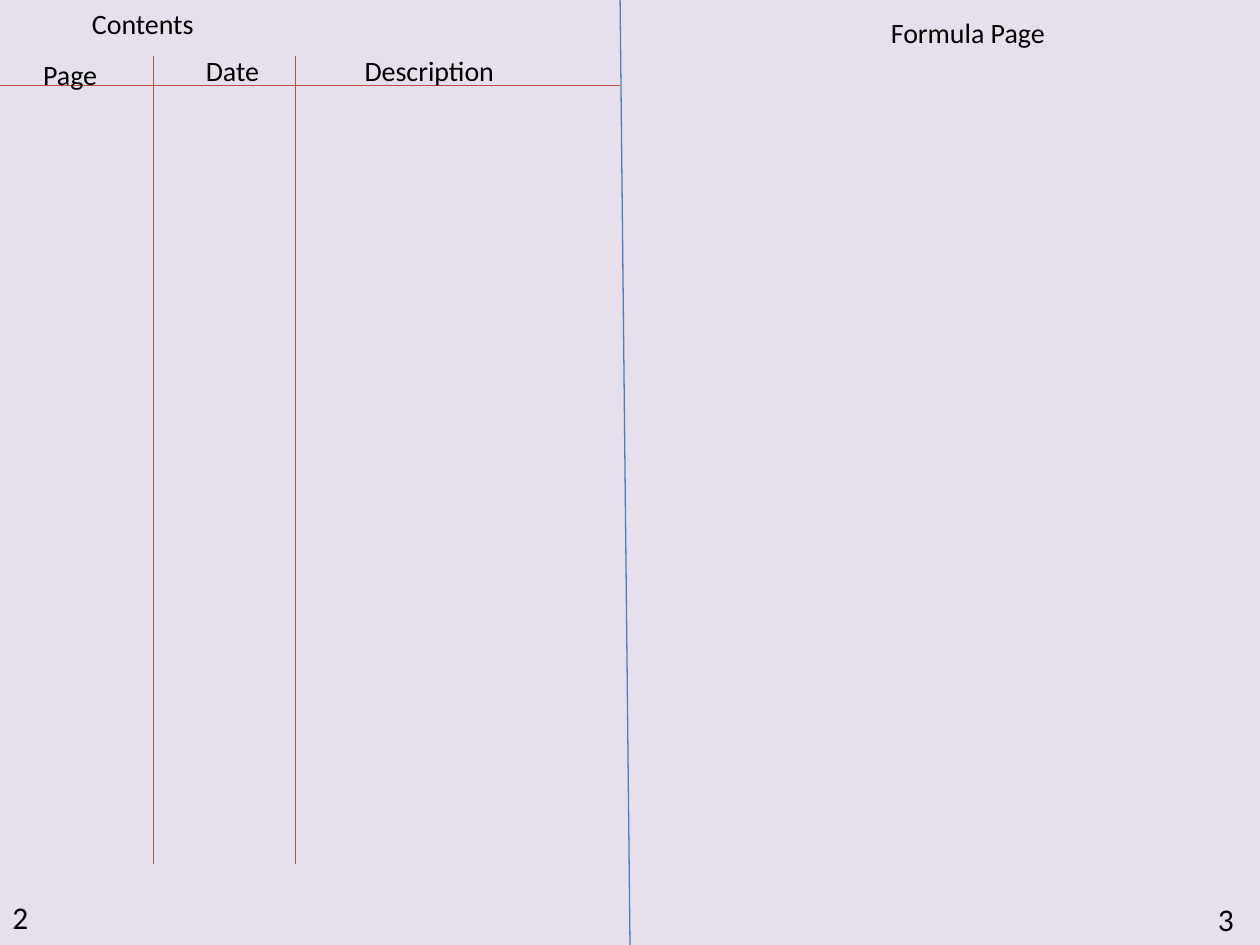
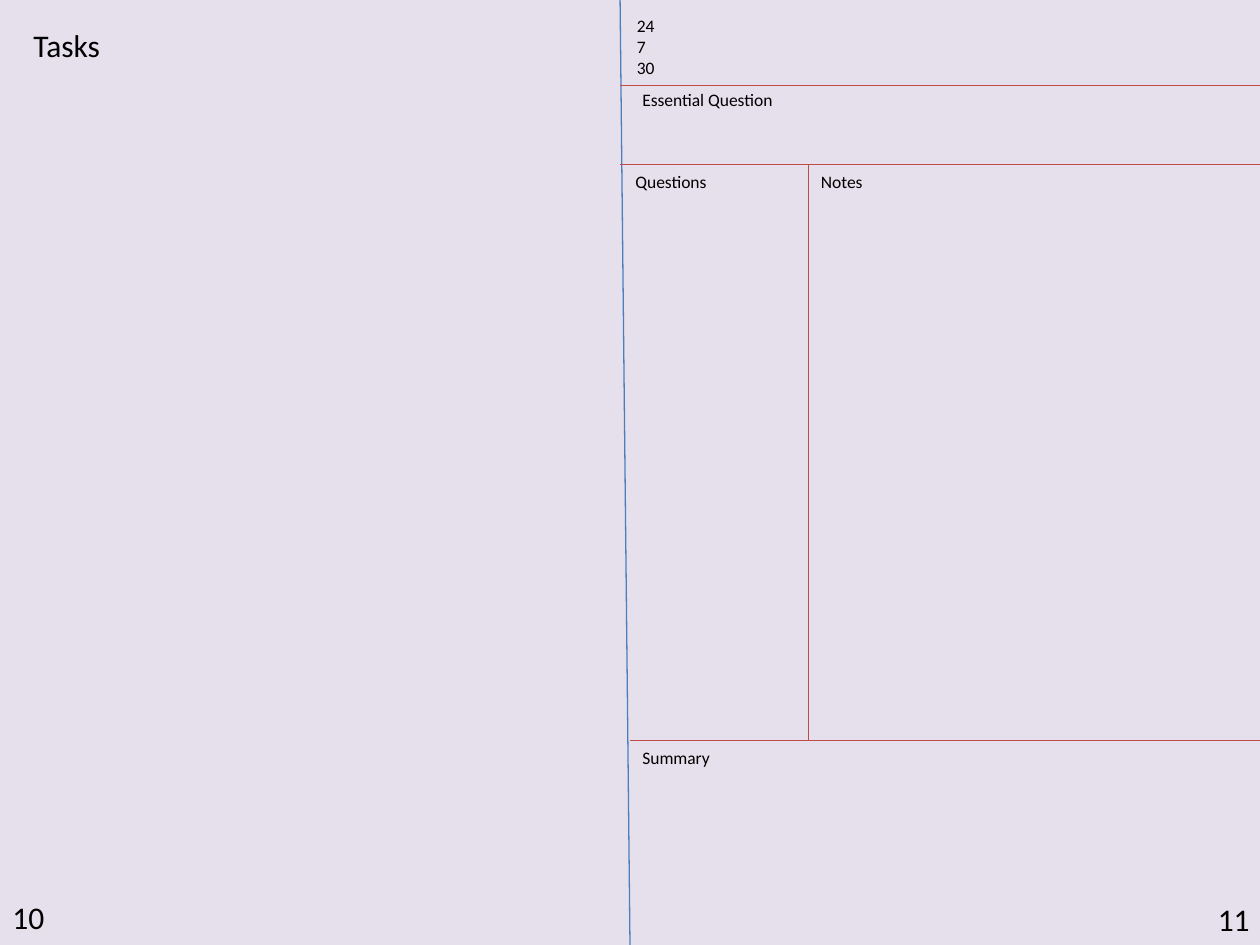
from dataclasses import dataclass

from lxml.etree import SubElement
from pptx import Presentation
from pptx.dml.color import RGBColor
from pptx.enum.shapes import MSO_CONNECTOR
from pptx.enum.text import MSO_ANCHOR, MSO_AUTO_SIZE, PP_ALIGN
from pptx.oxml.ns import qn
from pptx.util import Cm, Pt


@dataclass(frozen=True)
class Theme:
    paper: RGBColor = RGBColor(0xE6, 0xE0, 0xEC)
    ink: RGBColor = RGBColor(0, 0, 0)
    spine: RGBColor = RGBColor(0x4B, 0x7E, 0xBC)
    rule: RGBColor = RGBColor(0xBF, 0x4C, 0x48)
    font: str = "Calibri"
    large: int = 18
    heading: int = 16
    label: int = 10
    rule_width: float = 0.75
    header_height: float = 1.73


@dataclass(frozen=True)
class Box:
    left: float
    top: float
    width: float
    height: float


THEME = Theme()
WIDTH, HEIGHT = 25.4, 19.05
SPINE_TOP, SPINE_BOTTOM = 12.5, 12.7
LEFT_PAGE = Box(0, 0, SPINE_TOP, HEIGHT)
RIGHT_PAGE = Box(SPINE_TOP, 0, WIDTH - SPINE_TOP, HEIGHT)


def add_rule(slide, box, start, end, color=THEME.rule):
    """Draw a line between two points measured from the box's corner."""
    rule = slide.shapes.add_connector(
        MSO_CONNECTOR.STRAIGHT,
        Cm(box.left + start[0]), Cm(box.top + start[1]),
        Cm(box.left + end[0]), Cm(box.top + end[1]))
    rule.line.color.rgb = color
    rule.line.width = Pt(THEME.rule_width)
    SubElement(rule._element.spPr, qn("a:effectLst"))


def write(shape, box, left, top, width, lines, size):
    """Place a text shape inside the box, as tall as its lines."""
    shape.left, shape.top = Cm(box.left + left), Cm(box.top + top)
    shape.width = Cm(width)
    shape.height = Cm(round(len(lines) * size * 0.0423 + 0.25, 2))
    frame = shape.text_frame
    frame.auto_size = MSO_AUTO_SIZE.NONE
    frame.word_wrap = True
    frame.vertical_anchor = MSO_ANCHOR.TOP
    frame.margin_right = 0
    for index, line in enumerate(lines):
        paragraph = frame.add_paragraph() if index else frame.paragraphs[0]
        paragraph.alignment = PP_ALIGN.LEFT
        run = paragraph.add_run()
        run.text = line
        run.font.name = THEME.font
        run.font.size = Pt(size)
        run.font.color.rgb = THEME.ink


def add_text(slide, box, left, top, width, lines, size):
    shape = slide.shapes.add_textbox(0, 0, 0, 0)
    write(shape, box, left, top, width, lines, size)


def add_spread(presentation, left_number, right_number):
    """Start a two-page spread with its spine and page numbers."""
    slide = presentation.slides.add_slide(presentation.slide_layouts[5])
    add_rule(slide, LEFT_PAGE, (SPINE_TOP, 0), (SPINE_BOTTOM, HEIGHT), THEME.spine)
    add_text(slide, LEFT_PAGE, 0, 17.98, 1.17, [left_number], THEME.large)
    add_text(slide, RIGHT_PAGE, 11.8, 18.02, 1.52, [right_number], THEME.large)
    return slide


def contents_page(slide, box):
    write(slide.shapes.title, box, 1.6, 0.01, 2.59, ["Contents"], THEME.heading)
    # Header line and column dividers
    add_rule(slide, box, (0, THEME.header_height),
             (box.width, THEME.header_height))
    for divider in (3.1, 5.95):
        add_rule(slide, box, (divider, 1.12), (divider, 17.42))
    # Column headings
    for heading, left, top, width in (("Page", 0.62, 1.04, 1.63),
                                      ("Date", 3.9, 0.95, 1.6),
                                      ("Description", 7.1, 0.95, 3.89)):
        add_text(slide, box, left, top, width, [heading], THEME.heading)


def formula_page(slide, box):
    add_text(slide, box, 5.21, 0.18, 3.99, ["Formula Page"], THEME.heading)


def tasks_page(slide, box):
    write(slide.shapes.title, box, 0.42, 0.4, 1.85, ["Tasks"], THEME.large)


def notes_page(slide, box):
    question_bottom, summary_top, notes_left = 3.32, 14.93, 3.8
    inner_left = SPINE_BOTTOM - SPINE_TOP
    # Section lines
    for left, top in ((0, THEME.header_height), (0, question_bottom),
                      (inner_left, summary_top)):
        add_rule(slide, box, (left, top), (box.width, top))
    add_rule(slide, box, (notes_left, question_bottom),
             (notes_left, summary_top))
    # Section labels
    for lines, left, top, width in (
            (["24", "7", "30"], 0.09, 0.18, 1.19),
            (["Essential Question"], inner_left, 1.67, 3.18),
            (["Questions"], 0.06, question_bottom, 1.98),
            (["Notes"], notes_left, question_bottom, 1.37),
            (["Summary"], inner_left, summary_top, 1.88)):
        add_text(slide, box, left, top, width, lines, THEME.label)


def main():
    presentation = Presentation()
    presentation.slide_width, presentation.slide_height = Cm(WIDTH), Cm(HEIGHT)
    background = presentation.slide_master.background.fill
    background.solid()
    background.fore_color.rgb = THEME.paper

    contents = add_spread(presentation, "2", "3")
    contents_page(contents, LEFT_PAGE)
    formula_page(contents, RIGHT_PAGE)

    notes = add_spread(presentation, "10", "11")
    tasks_page(notes, LEFT_PAGE)
    notes_page(notes, RIGHT_PAGE)

    presentation.save("out.pptx")


if __name__ == "__main__":
    main()
